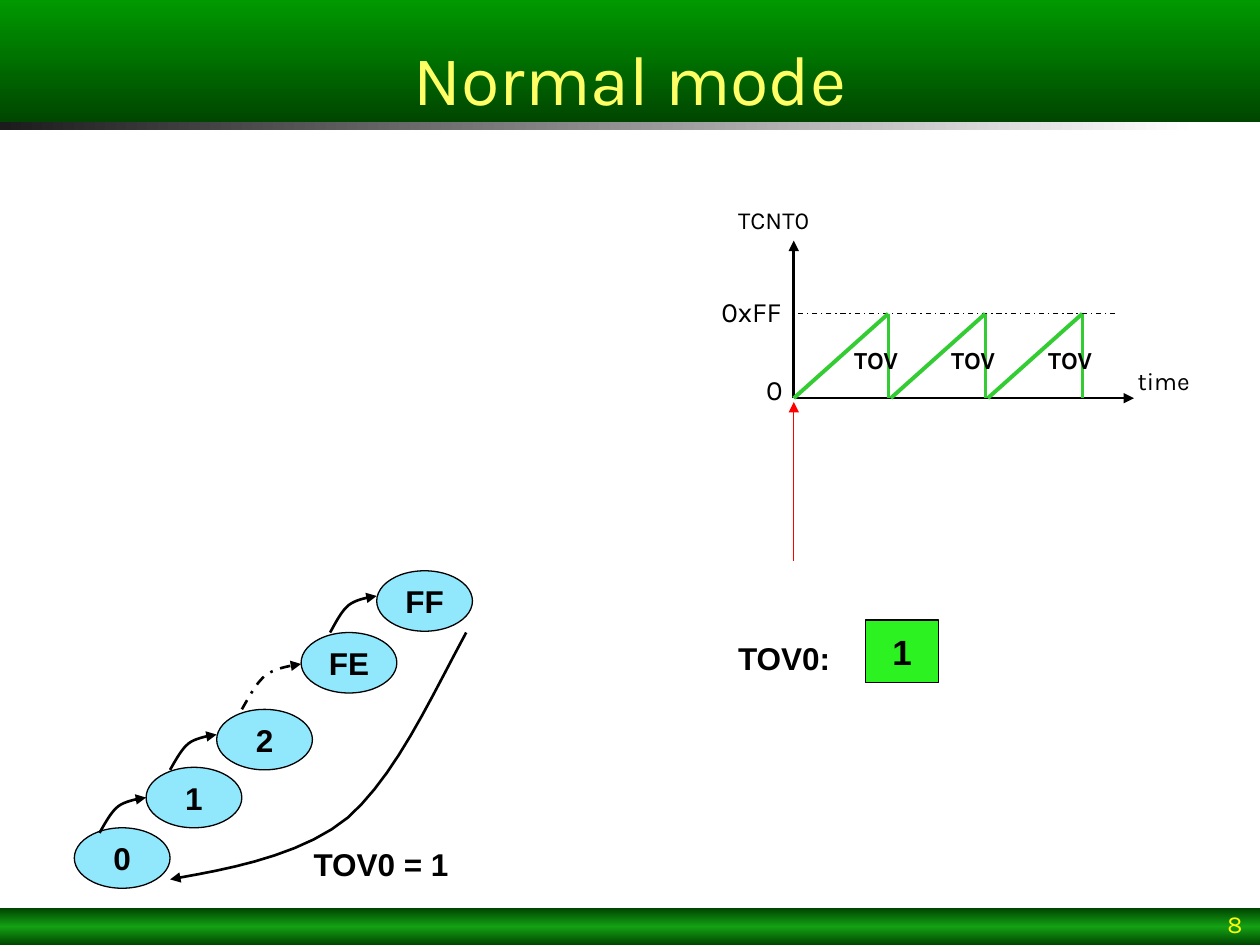
"""Build the "Normal mode" timer slide: sawtooth chart, counter states and overflow flag."""
from lxml import etree
from pptx import Presentation
from pptx.dml.color import RGBColor
from pptx.enum.dml import MSO_LINE
from pptx.enum.shapes import MSO_CONNECTOR, MSO_SHAPE
from pptx.enum.text import MSO_ANCHOR, PP_ALIGN
from pptx.oxml.ns import qn
from pptx.util import Inches, Pt

RECT, OVAL = MSO_SHAPE.RECTANGLE, MSO_SHAPE.OVAL
STRAIGHT, DASH_DOT = MSO_CONNECTOR.STRAIGHT, MSO_LINE.DASH_DOT
LEFT, CENTER, RIGHT = PP_ALIGN.LEFT, PP_ALIGN.CENTER, PP_ALIGN.RIGHT
TOP, MIDDLE, BOTTOM = MSO_ANCHOR.TOP, MSO_ANCHOR.MIDDLE, MSO_ANCHOR.BOTTOM

THEME = {
    "ink": "000000", "title": "FFFF66", "number": "FFFB0B",
    "green": "009900", "dark green": "004600", "mid green": "14A114",
    "charcoal": "1C1C1C", "white": "FFFFFF",
    "tooth": "33CC33", "marker": "FF0000", "flag": "2CF222", "state": "91E8FD",
    "display": "Karla", "plain": "Arial",
    "title size": 40, "flag size": 20, "label size": 18, "axis size": 16, "small size": 14,
}


def write(shape, text, font, size, color="ink", bold=False, align=LEFT, anchor=TOP, wrap=True):
    frame = shape.text_frame
    frame.word_wrap = wrap
    frame.vertical_anchor = anchor
    para = frame.paragraphs[0]
    para.alignment = align
    span = para.add_run()
    span.text = text
    span.font.name = THEME[font]
    span.font.size = Pt(THEME[size])
    span.font.bold = bold
    span.font.color.rgb = RGBColor.from_string(THEME[color])


def stroke(shape, color, width, arrow=False, dash=None):
    shape.line.color.rgb = RGBColor.from_string(THEME[color])
    shape.line.width = Pt(width)
    if dash:
        shape.line.dash_style = dash
    properties = shape._element.spPr
    if arrow:
        etree.SubElement(properties.find(qn("a:ln")), qn("a:tailEnd"), type="triangle")
    etree.SubElement(properties, qn("a:effectLst"))


deck = Presentation()
deck.slide_width, deck.slide_height = Inches(10), Inches(7.5)
page = deck.slides.add_slide(deck.slide_layouts[6])

bands = [
    (7.21, 10, 0.29, 270, ["dark green", "mid green", "dark green"]),
    (0.97, 9.51, 0.06, 0, ["charcoal", "white"]),
    (0, 10, 0.97, 270, ["green", "dark green"]),
]
for top, width, height, angle, colors in bands:
    band = page.shapes.add_shape(RECT, 0, Inches(top), Inches(width), Inches(height))
    band.shadow.inherit = False
    band.line.fill.background()
    band.fill.gradient()
    band.fill.gradient_angle = angle
    stops = band._element.spPr.find(qn("a:gradFill")).find(qn("a:gsLst"))
    stops.clear()
    for index, color in enumerate(colors):
        position = 100000 * index // (len(colors) - 1)
        stop = etree.SubElement(stops, qn("a:gs"), pos=str(position))
        etree.SubElement(stop, qn("a:srgbClr"), val=THEME[color])
band.text_frame.margin_bottom = Inches(0.02)
write(band, "Normal mode", "display", "title size", "title", align=CENTER, anchor=BOTTOM)

number = page.shapes.add_textbox(Inches(7.83), Inches(7.22), Inches(2.13), Inches(0.28))
write(number, "8", "display", "small size", "number", align=RIGHT, anchor=BOTTOM)

ORIGIN, BASE, PEAK = 6.3, 3.16, 2.49
rules = [
    (ORIGIN, BASE, 9, BASE, "ink", 1.5, True, None),
    (ORIGIN, BASE, ORIGIN, 1.91, "ink", 1.5, True, None),
    (8.85, PEAK, ORIGIN, PEAK, "ink", 0.75, False, DASH_DOT),
    (ORIGIN, 4.45, ORIGIN, 3.19, "marker", 0.75, True, None),
]
for x1, y1, x2, y2, color, width, arrow, dash in rules:
    rule = page.shapes.add_connector(STRAIGHT, Inches(x1), Inches(y1), Inches(x2), Inches(y2))
    stroke(rule, color, width, arrow, dash)

for index in range(3):
    start = ORIGIN + 0.77 * index
    end = start + 0.75
    tooth = page.shapes.add_group_shape()
    for x, width in [(start, 2.25), (end, 1.5)]:
        edge = tooth.shapes.add_connector(STRAIGHT, Inches(x), Inches(BASE), Inches(end), Inches(PEAK))
        stroke(edge, "tooth", width)
    box = tooth.shapes.add_textbox(Inches(start + 0.38), Inches(2.69), Inches(1.17), Inches(0.34))
    write(box, "TOV", "display", "small size", bold=True)

labels = [
    ("0xFF", 5.33, 2.29, 0.97, 0.37, "display", "axis size", False, RIGHT),
    ("TCNT0", 5.76, 1.58, 0.92, 0.34, "display", "small size", False, LEFT),
    ("0", 5.89, 2.91, 0.42, 0.37, "display", "axis size", False, RIGHT),
    ("time", 8.93, 2.86, 0.92, 0.34, "display", "small size", False, LEFT),
    ("TOV0:", 5.76, 5.02, 1.1, 0.4, "plain", "label size", True, LEFT),
    ("TOV0 = 1", 2.39, 6.66, 1.34, 0.4, "plain", "label size", True, LEFT),
]
for text, left, top, width, height, font, size, bold, align in labels:
    box = page.shapes.add_textbox(Inches(left), Inches(top), Inches(width), Inches(height))
    write(box, text, font, size, bold=bold, align=align)

nodes = [
    ("1", RECT, 6.87, 4.92, 0.58, 0.5, "flag", "flag size"),
    ("FE", OVAL, 2.39, 5.02, 0.76, 0.48, "state", "label size"),
    ("FF", OVAL, 2.99, 4.53, 0.76, 0.48, "state", "label size"),
    ("2", OVAL, 1.72, 5.63, 0.76, 0.48, "state", "label size"),
    ("1", OVAL, 1.16, 6.09, 0.76, 0.48, "state", "label size"),
    ("0", OVAL, 0.59, 6.57, 0.76, 0.48, "state", "label size"),
]
for text, kind, left, top, width, height, fill, size in nodes:
    node = page.shapes.add_shape(kind, Inches(left), Inches(top), Inches(width), Inches(height))
    node.fill.solid()
    node.fill.fore_color.rgb = RGBColor.from_string(THEME[fill])
    stroke(node, "ink", 0.75)
    write(node, text, "plain", size, bold=True, align=CENTER, anchor=MIDDLE, wrap=False)

STEPS = 10
BEZIERS = [
    [(0, 0), (0.13, 0.29), (0.24, 0.58), (0.4, 0.75)],
    [(0.4, 0.75), (0.57, 0.92), (0.87, 0.97), (1, 1)],
]
bend = []
for bezier in BEZIERS:
    for step in range(1, STEPS + 1):
        t = step / STEPS
        weights = [(1 - t) ** 3, 3 * t * (1 - t) ** 2, 3 * t ** 2 * (1 - t), t ** 3]
        bend.append([sum(w * point[axis] for w, point in zip(weights, bezier)) for axis in (0, 1)])

transitions = [
    (3.7, 5.02, 1.35, 6.98, None),
    (0.79, 6.61, 1.16, 6.33, None),
    (1.35, 6.11, 1.72, 5.83, None),
    (2.62, 5.02, 2.99, 4.73, None),
    (1.92, 5.63, 2.39, 5.27, DASH_DOT),
]
for x1, y1, x2, y2, dash in transitions:
    outline = page.shapes.build_freeform(Inches(x1), Inches(y1))
    outline.add_line_segments(
        [(Inches(x1 + u * (x2 - x1)), Inches(y1 + v * (y2 - y1))) for u, v in bend], close=False)
    curve = outline.convert_to_shape()
    curve.fill.background()
    stroke(curve, "ink", 1.5, True, dash)

deck.save("out.pptx")
